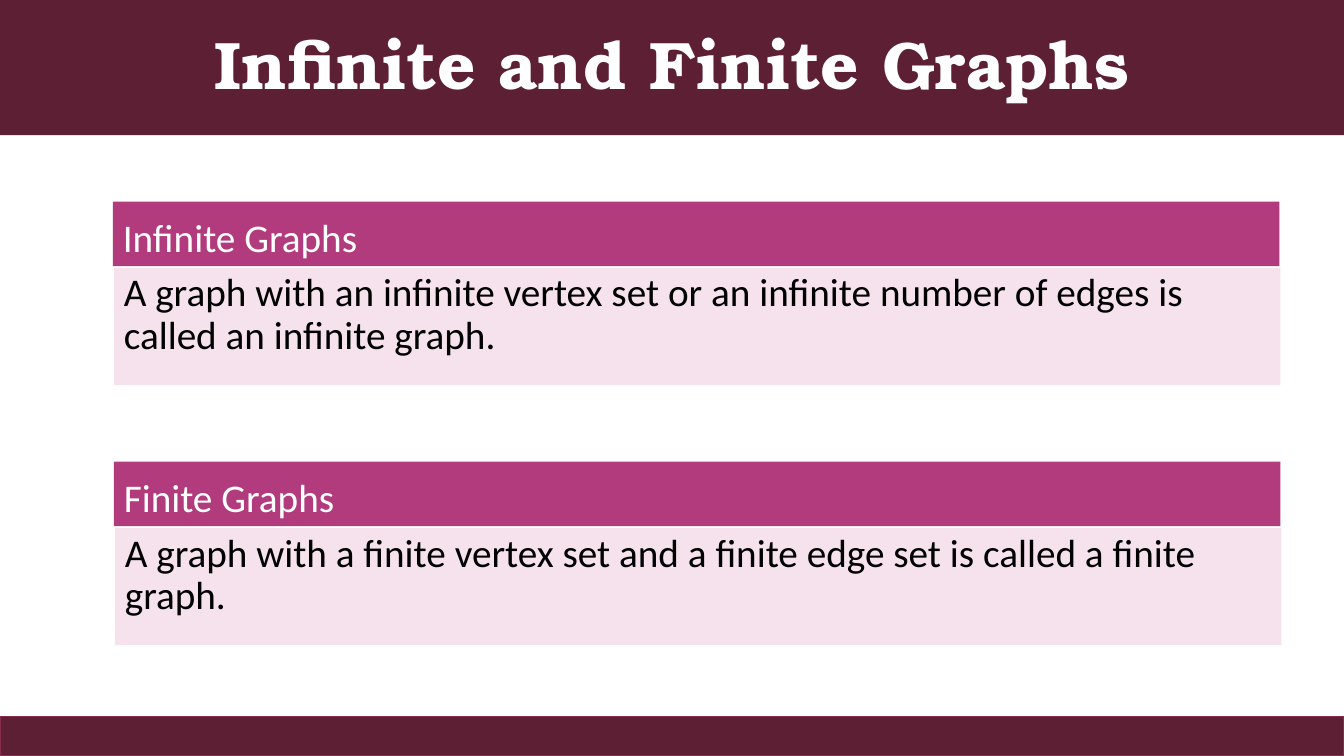
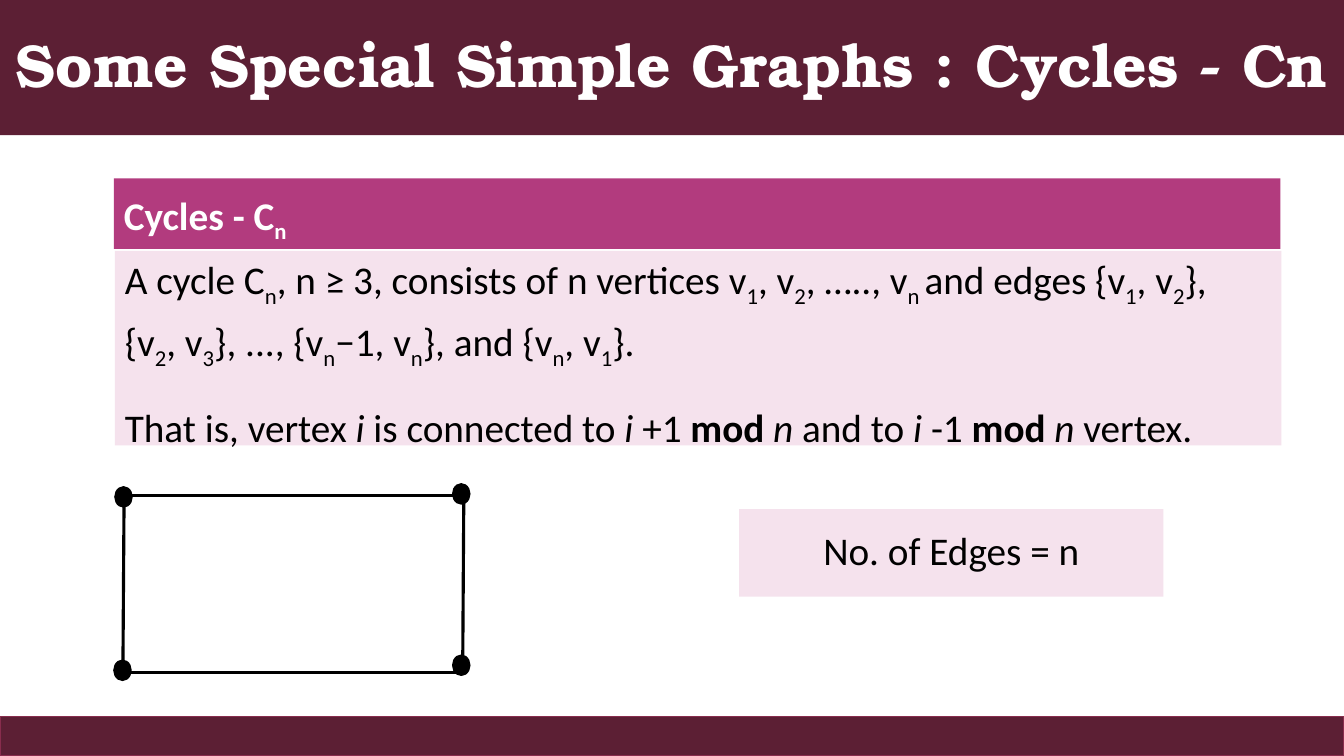
from dataclasses import dataclass
from typing import NamedTuple

from lxml import etree
from pptx import Presentation
from pptx.dml.color import RGBColor
from pptx.enum.shapes import MSO_CONNECTOR, MSO_SHAPE
from pptx.enum.text import MSO_ANCHOR, PP_ALIGN
from pptx.oxml.ns import qn
from pptx.util import Inches, Pt

COLORS = {
    "band": "5C1F34",
    "band_line": "882D4D",
    "head": "B23B7E",
    "body": "F5E2ED",
    "white": "FFFFFF",
    "black": "000000",
}
TITLE_FONT, TEXT_FONT = "TeX Gyre Bonum", "Calibri"
SLIDE_W, SLIDE_H = 13.33, 7.5
TITLE_H, FOOTER_H = 1.34, 0.39
CARD_W, CARD_GAP = 11.57, 0.02
DOT_W, DOT_H = 0.17, 0.2


class Run(NamedTuple):
    text: str
    style: str = ""  # "sub", "bold", "italic" or plain


@dataclass
class Para:
    runs: list[Run]
    before: float = 10


@dataclass
class Card:
    left: float
    top: float
    head_h: float
    body_h: float
    head: Para
    body: list[Para]
    bold_head: bool = False


class Edge(NamedTuple):
    x1: float
    y1: float
    x2: float
    y2: float


def with_subs(text: str) -> list[Run]:
    """Every second piece between bars is a subscript."""
    return [Run(t, "sub" if i % 2 else "") for i, t in enumerate(text.split("|"))]


def rgb(name: str) -> RGBColor:
    return RGBColor.from_string(COLORS[name])


def add_box(shapes, left: float, top: float, width: float, height: float,
            fill: str, line: str = "", kind=MSO_SHAPE.RECTANGLE):
    sp = shapes.add_shape(kind, Inches(left), Inches(top), Inches(width), Inches(height))
    sp.shadow.inherit = False
    sp.fill.solid()
    sp.fill.fore_color.rgb = rgb(fill)
    if line:
        sp.line.color.rgb = rgb(line)
        sp.line.width = Pt(1)
    else:
        sp.line.fill.background()
    return sp


def write(sp, paras: list[Para], color: str, size: float = 28, font: str = TEXT_FONT,
          bold: bool = False, spacing: float = 0.9, align=PP_ALIGN.LEFT,
          anchor=MSO_ANCHOR.TOP) -> None:
    tf = sp.text_frame
    tf.word_wrap = True
    tf.vertical_anchor = anchor
    for i, para in enumerate(paras):
        p = tf.add_paragraph() if i else tf.paragraphs[0]
        p.alignment, p.line_spacing, p.space_before = align, spacing, Pt(para.before)
        p.font.name, p.font.size, p.font.bold = font, Pt(size), bold
        p.font.color.rgb = rgb(color)
        for run in para.runs:
            r = p.add_run()
            r.text = run.text
            if run.style == "sub":
                r.font._element.set("baseline", "-25000")
            elif run.style == "bold":
                r.font.bold = True
            elif run.style == "italic":
                r.font.italic = True


def add_base(prs, title: str, size: float):
    """Blank slide with the title band and the footer band."""
    s = prs.slides.add_slide(prs.slide_layouts[6])
    band = add_box(s.shapes, 0, 0, SLIDE_W, TITLE_H, "band")
    write(band, [Para([Run(title)], 0)], "white", size, TITLE_FONT, True,
          align=PP_ALIGN.CENTER, anchor=MSO_ANCHOR.MIDDLE)
    add_box(s.shapes, 0, SLIDE_H - FOOTER_H, SLIDE_W, FOOTER_H, "band", "band_line")
    return s


def add_card(s, card: Card) -> None:
    group = s.shapes.add_group_shape()
    head = add_box(group.shapes, card.left, card.top, CARD_W, card.head_h, "head")
    write(head, [card.head], "white", bold=card.bold_head, spacing=1.14)
    body_top = card.top + card.head_h + CARD_GAP
    body = add_box(group.shapes, card.left + 0.01, body_top, CARD_W, card.body_h, "body")
    write(body, card.body, "black")


def add_edge(s, edge: Edge) -> None:
    x1, y1, x2, y2 = map(Inches, edge)
    line = s.shapes.add_connector(MSO_CONNECTOR.STRAIGHT, x1, y1, x2, y2)
    line.line.color.rgb = rgb("black")
    line.line.width = Pt(2.25)
    etree.SubElement(line._element.spPr, qn("a:effectLst"))


DEFINITIONS = [
    Card(1.12, 2, 0.64, 1.16, Para([Run("Infinite Graphs")]),
         [Para([Run("A graph with an infinite vertex set or an infinite number of "
                    "edges is called an infinite graph.")])]),
    Card(1.13, 4.58, 0.64, 1.16, Para([Run("Finite Graphs")]),
         [Para([Run("A graph with a finite vertex set and a finite edge set is "
                    "called a finite graph.")])]),
]

CYCLES = Card(
    1.13, 1.77, 0.7, 1.93, Para(with_subs("Cycles - C|n")),
    [
        Para(with_subs("A cycle C|n|, n ≥ 3, consists of n vertices v|1|, v|2|, ….., v|n |"
                       "and edges {v|1|, v|2|},")),
        Para(with_subs("{v|2|, v|3|}, ..., {v|n|−1, v|n|}, and {v|n|, v|1|}.")),
        Para([Run("That is, vertex "), Run("i", "italic"), Run(" is connected to "),
              Run("i ", "italic"), Run("+1 "), Run("mod ", "bold"), Run("n ", "italic"),
              Run("and to "), Run("i ", "italic"), Run("-1 "), Run("mod ", "bold"),
              Run("n ", "italic"), Run("vertex.")], before=30),
    ],
    bold_head=True,
)

VERTICES = [(1.14, 4.83), (4.49, 6.5), (4.49, 4.8), (1.13, 6.55)]
EDGES = [
    Edge(1.23, 4.92, 4.55, 4.92),
    Edge(1.23, 5.03, 1.22, 6.55),
    Edge(4.6, 4.93, 4.59, 6.53),
    Edge(1.22, 6.67, 4.55, 6.67),
]


def main() -> None:
    prs = Presentation()
    prs.slide_width, prs.slide_height = Inches(SLIDE_W), Inches(SLIDE_H)

    # Infinite and finite graphs
    s = add_base(prs, "Infinite and Finite Graphs", 48)
    for card in DEFINITIONS:
        add_card(s, card)

    # Cycles: definition, four-vertex cycle, edge count
    s = add_base(prs, "Some Special Simple Graphs : Cycles - Cn", 43.2)
    add_card(s, CYCLES)
    for left, top in VERTICES:
        add_box(s.shapes, left, top, DOT_W, DOT_H, "black", "black", MSO_SHAPE.OVAL)
    for edge in EDGES:
        add_edge(s, edge)
    count = add_box(s.shapes, 7.33, 5.05, 4.21, 0.87, "body")
    write(count, [Para([Run("No. of Edges = n")], 0)], "black",
          align=PP_ALIGN.CENTER, anchor=MSO_ANCHOR.MIDDLE)

    prs.save("out.pptx")


if __name__ == "__main__":
    main()
